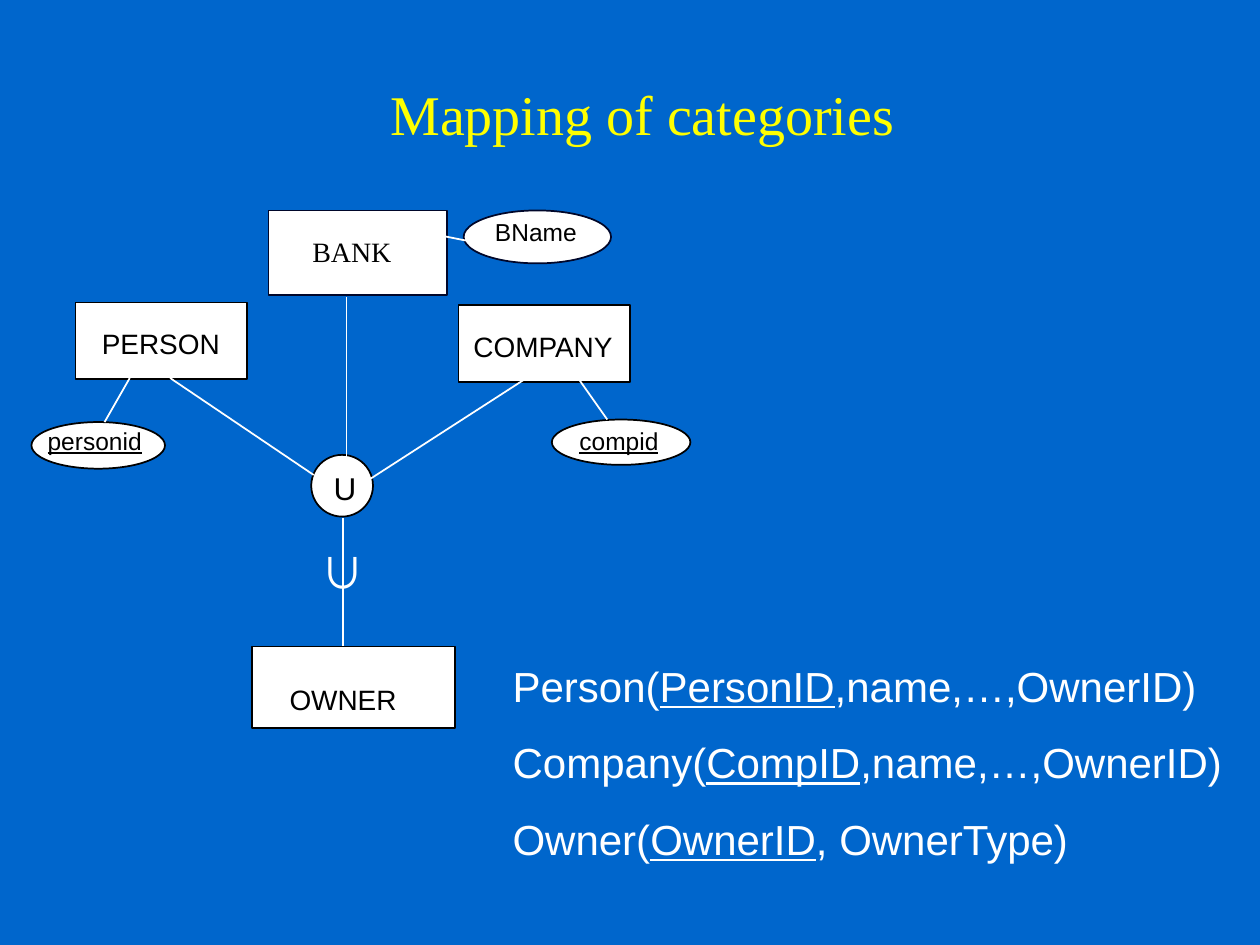
import pptx
import pptx.util
import pptx.dml.color
import pptx.oxml
import pptx.enum.shapes
import pptx.enum.text
from pptx.util import Inches

SERIF, SANS = "Times New Roman", "Arial"
WHITE, BLACK, NAVY, YELLOW, BLUE = "FFFFFF", "000000", "00072A", "FFFF00", "0066CC"

BOXES = [
    (2.13, 1.67, 1.42, 0.67, NAVY),
    (0.6, 2.4, 1.36, 0.61, BLACK),
    (3.64, 2.42, 1.36, 0.61, BLACK),
    (2, 5.13, 1.61, 0.65, BLACK),
]
OVALS = [
    (3.68, 1.67, 1.17, 0.42, NAVY),
    (2.47, 3.61, 0.49, 0.49, BLACK),
    (0.25, 3.35, 1.06, 0.37, BLACK),
    (4.38, 3.33, 1.1, 0.36, BLACK),
]
LINES = [
    (1.35, 3, 2.49, 3.77),
    (4.18, 3, 2.94, 3.8),
    (2.72, 4.11, 2.72, 5.13),
    (1.03, 3, 0.83, 3.35),
    (4.58, 2.99, 4.82, 3.33),
    (2.75, 2.36, 2.75, 3.7),
    (3.5, 1.87, 3.75, 1.92),
]
ENTITY = {"size": 16, "name": SANS, "color": BLACK}
ATTRIBUTE = {"size": 14, "name": SANS, "color": BLACK}
KEY = {**ATTRIBUTE, "underline": True}
LABELS = [
    ("PERSON", 0.71, 2.54, 1.22, 0.36, ENTITY),
    ("COMPANY", 3.66, 2.57, 1.4, 0.36, ENTITY),
    ("OWNER", 2.2, 5.37, 1.2, 0.36, ENTITY),
    ("BANK", 2.38, 1.81, 1.25, 0.37, {**ENTITY, "name": SERIF}),
    ("U", 2.55, 3.67, 0.42, 0.4, {**ENTITY, "size": 18}),
    ("personid", 0.28, 3.33, 1.13, 0.33, KEY),
    ("compid", 4.5, 3.33, 1.33, 0.33, KEY),
    ("BName", 3.83, 1.67, 1.17, 0.33, ATTRIBUTE),
]
RELATIONS = [
    ("Person(", "PersonID", ",name,…,OwnerID)"),
    ("Company(", "CompID", ",name,…,OwnerID)"),
    ("Owner(", "OwnerID", ", OwnerType)"),
]


def rgb(value):
    return pptx.dml.color.RGBColor.from_string(value)


def add_run(p, text, fmt):
    r = p.add_run()
    r.text = text
    for key, value in fmt.items():
        if key == "color":
            r.font.color.rgb = rgb(value)
        else:
            setattr(r.font, key, pptx.util.Pt(value) if key == "size" else value)


def add_text(s, x, y, w, h):
    sp = s.shapes.add_textbox(*map(Inches, (x, y, w, h)))
    sp.text_frame.word_wrap = True
    return sp


def add_outlined(s, kind, x, y, w, h, line):
    sp = s.shapes.add_shape(kind, *map(Inches, (x, y, w, h)))
    sp.shadow.inherit = False
    sp.fill.solid()
    sp.fill.fore_color.rgb = rgb(WHITE)
    sp.line.color.rgb = rgb(line)
    sp.line.width = pptx.util.Pt(1)


def add_line(s, *ends):
    kind = pptx.enum.shapes.MSO_CONNECTOR.STRAIGHT
    sp = s.shapes.add_connector(kind, *map(Inches, ends))
    sp.line.color.rgb = rgb(WHITE)
    sp.line.width = pptx.util.Pt(1)
    sp._element.spPr.append(pptx.oxml.parse_xml(
        '<a:effectLst xmlns:a="http://schemas.openxmlformats.org/drawingml/2006/main"/>'))


def main():
    prs = pptx.Presentation()
    prs.slide_width, prs.slide_height = Inches(10), Inches(7.5)
    s = prs.slides.add_slide(prs.slide_layouts[6])
    s.background.fill.solid()
    s.background.fill.fore_color.rgb = rgb(BLUE)

    tf = add_text(s, 3, 0, 6.5, 1.21).text_frame
    tf.vertical_anchor = pptx.enum.text.MSO_ANCHOR.BOTTOM
    add_run(tf.paragraphs[0], "Mapping of categories",
            {"size": 32, "name": SERIF, "color": YELLOW})

    shape = pptx.enum.shapes.MSO_SHAPE
    for kind, places in ((shape.RECTANGLE, BOXES), (shape.OVAL, OVALS)):
        for place in places:
            add_outlined(s, kind, *place)
    for ends in LINES:
        add_line(s, *ends)
    for text, x, y, w, h, fmt in LABELS:
        tf = add_text(s, x, y, w, h).text_frame
        add_run(tf.paragraphs[0], text, fmt)

    subset = add_text(s, 2.4, 4.27, 0.6, 0.7)
    subset.rotation = 180
    add_run(subset.text_frame.paragraphs[0], "∩",
            {"size": 36, "name": SANS, "color": WHITE})

    tf = add_text(s, 3.97, 5.19, 5.9, 1.72).text_frame
    for i, parts in enumerate(RELATIONS):
        p = tf.add_paragraph() if i else tf.paragraphs[0]
        if i:
            p.space_before = pptx.util.Pt(15)
        for j, text in enumerate(parts):
            add_run(p, text, {"size": 24, "name": SANS, "color": WHITE,
                              "underline": j == 1})

    prs.save("out.pptx")


if __name__ == "__main__":
    main()
